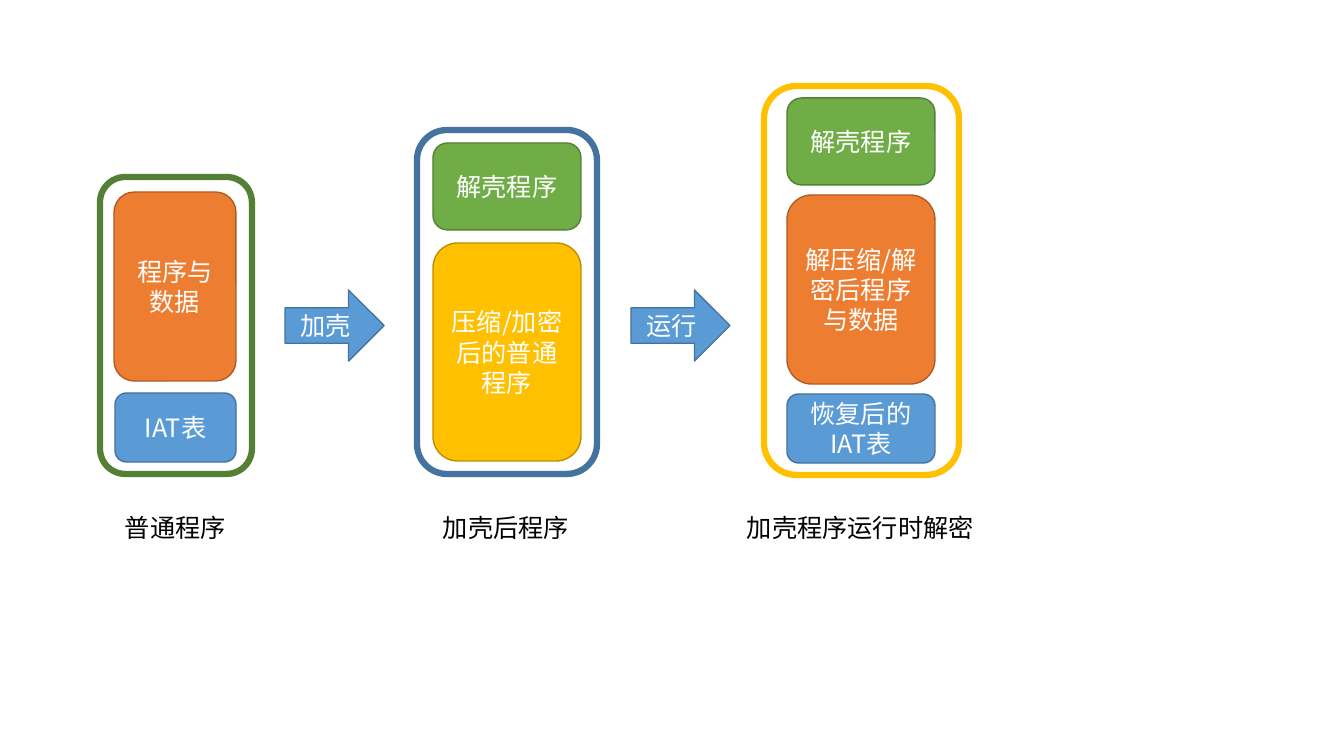
"""Draw how a packed program is built and how it is restored at run time."""
from pptx import Presentation
from pptx.dml.color import RGBColor
from pptx.enum.shapes import MSO_SHAPE
from pptx.enum.text import MSO_ANCHOR, MSO_AUTO_SIZE, PP_ALIGN
from pptx.oxml.ns import qn
from pptx.util import Emu, Pt

ROUNDED = MSO_SHAPE.ROUNDED_RECTANGLE
ARROW = MSO_SHAPE.RIGHT_ARROW
MIDDLE = MSO_ANCHOR.MIDDLE
CENTER = PP_ALIGN.CENTER
GROW = MSO_AUTO_SIZE.SHAPE_TO_FIT_TEXT
BLANK_LAYOUT = 6
EMU_PER_PIXEL = 914400 / 100.8

GREEN = ("70AD47", "538035")
ORANGE = ("ED7D31", "AF5C24")
BLUE = ("5B9BD5", "43739E")
YELLOW = ("FFC000", "BD8E00")


def px(pixels):
    """Turn pixels into EMU."""
    return Emu(round(pixels * EMU_PER_PIXEL))


def color(hex_code):
    """Turn a hex string into a colour."""
    return RGBColor.from_string(hex_code)


class Diagram:
    """Hold the style and the current slide."""

    font = "Noto Sans CJK SC"
    text_size = 18
    frame_weight = 4.5
    outline_weight = 1

    def __init__(self, slide):
        """Keep the slide to draw on."""
        self.slide = slide

    def add_words(self, frame, words, hex_code):
        """Add one styled run to a text frame."""
        run = frame.paragraphs[0].add_run()
        run.text = words
        run.font.size = Pt(self.text_size)
        run.font.name = self.font
        run.font.color.rgb = color(hex_code)
        properties = run._r.get_or_add_rPr()
        east_asian = properties.makeelement(qn("a:ea"), {"typeface": self.font})
        properties.find(qn("a:latin")).addnext(east_asian)

    def outline(self, kind, box, hex_code, weight):
        """Add a shape with a line and no shadow."""
        shape = self.slide.shapes.add_shape(kind, *map(px, box))
        shape.shadow.inherit = False
        shape.line.color.rgb = color(hex_code)
        shape.line.width = Pt(weight)
        return shape

    def frame(self, box, hex_code):
        """Add the hollow border around one program."""
        self.outline(ROUNDED, box, hex_code, self.frame_weight).fill.background()

    def block(self, words, box, colors, kind=ROUNDED):
        """Add a filled shape with centred white words."""
        fill, line = colors
        shape = self.outline(kind, box, line, self.outline_weight)
        shape.fill.solid()
        shape.fill.fore_color.rgb = color(fill)
        text = shape.text_frame
        text.word_wrap = True
        text.vertical_anchor = MIDDLE
        text.paragraphs[0].alignment = CENTER
        self.add_words(text, words, "FFFFFF")

    def caption(self, words, left, width):
        """Add the name below one program."""
        text = self.slide.shapes.add_textbox(*map(px, (left, 507, width, 40))).text_frame
        text.word_wrap = False
        text.auto_size = GROW
        self.add_words(text, words, "000000")


PROGRAMS = [
    (("普通程序", 115, 122), (100, 177, 152, 297), "538035", [
        ("程序与数据", (114, 192, 122, 189), ORANGE),
        ("IAT表", (115, 393, 121, 69), BLUE),
    ]),
    (("加壳后程序", 433, 147), (417, 130, 180, 344), "43739E", [
        ("解壳程序", (433, 143, 148, 87), GREEN),
        ("压缩/加密后的普通程序", (433, 243, 148, 218), YELLOW),
    ]),
    (("加壳程序运行时解密", 737, 249), (764, 86, 195, 389), "FFC000", [
        ("解壳程序", (787, 98, 148, 87), GREEN),
        ("解压缩/解密后程序与数据", (787, 195, 148, 189), ORANGE),
        ("恢复后的IAT表", (787, 394, 148, 69), BLUE),
    ]),
]
STEPS = [("加壳", 285), ("运行", 631)]

presentation = Presentation()
presentation.slide_width = px(1344)
presentation.slide_height = px(756)
layout = presentation.slide_layouts[BLANK_LAYOUT]
diagram = Diagram(presentation.slides.add_slide(layout))

for name, border, border_color, sections in PROGRAMS:
    diagram.frame(border, border_color)
    for words, box, colors in sections:
        diagram.block(words, box, colors)
    diagram.caption(*name)

for step, left in STEPS:
    diagram.block(step, (left, 290, 99, 71), BLUE, ARROW)

presentation.save("out.pptx")
